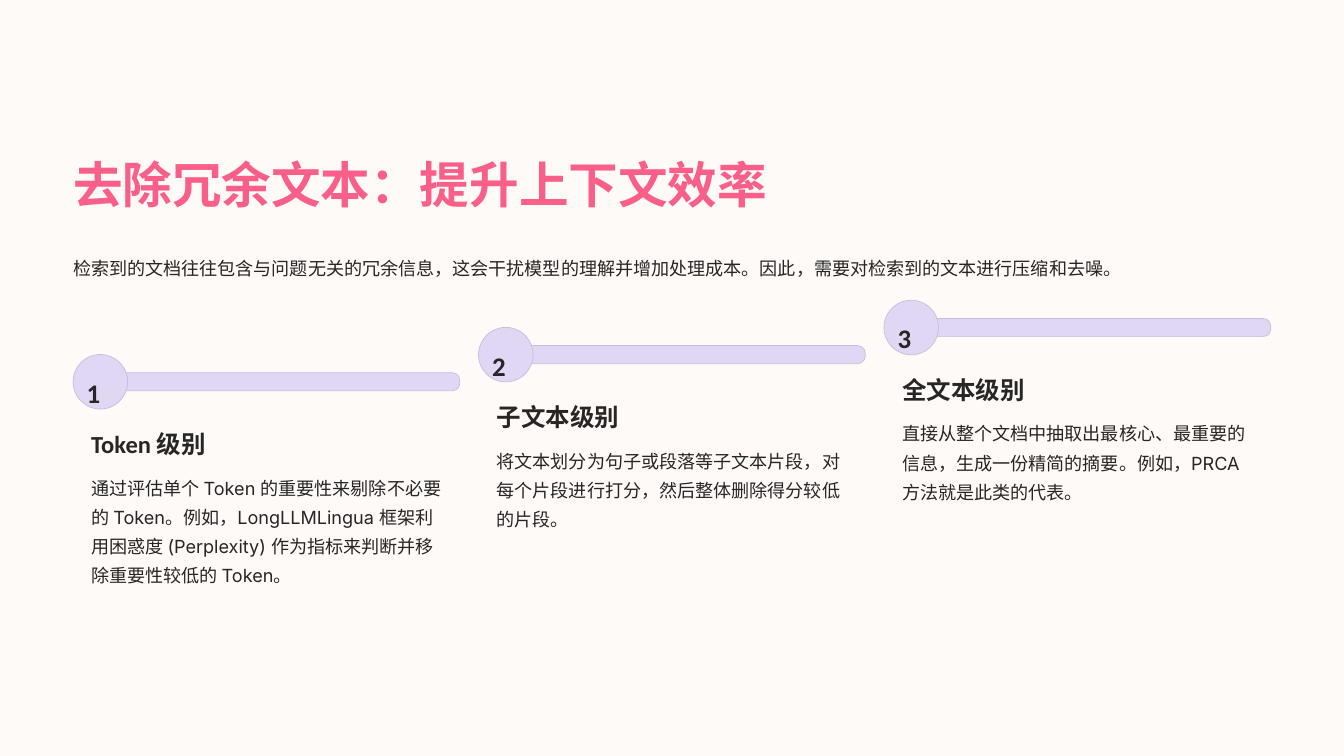
from dataclasses import dataclass

from pptx import Presentation
from pptx.dml.color import RGBColor
from pptx.enum.shapes import MSO_SHAPE
from pptx.enum.text import MSO_ANCHOR, MSO_AUTO_SIZE, PP_ALIGN
from pptx.slide import Slide
from pptx.text.text import TextFrame
from pptx.util import Cm, Pt

CREAM = RGBColor(0xFD, 0xFA, 0xF7)
PINK = RGBColor(0xF9, 0x5F, 0x88)
INK = RGBColor(0x27, 0x25, 0x25)
LILAC = RGBColor(0xE0, 0xD7, 0xF4)
LILAC_EDGE = RGBColor(0xC6, 0xBD, 0xDA)
HEADING_FONT = "Calibri"
BODY_FONT = "Inter"

# Staircase geometry, in centimetres
MARGIN = 2.21
FIRST_TOP = 10.72
STEP_PITCH = 12.26
STEP_RISE = 0.82
DISC = 1.65
BAR_WIDTH, BAR_HEIGHT = 10.87, 0.55


@dataclass(frozen=True)
class Level:
    heading: str
    detail: str
    lines: int


LEVELS = [
    Level("Token 级别",
          "通过评估单个 Token 的重要性来剔除不必要的 Token。例如，LongLLMLingua "
          "框架利用困惑度 (Perplexity) 作为指标来判断并移除重要性较低的 Token。", 4),
    Level("子文本级别",
          "将文本划分为句子或段落等子文本片段，对每个片段进行打分，然后整体删除得分较低的片段。", 3),
    Level("全文本级别",
          "直接从整个文档中抽取出最核心、最重要的信息，生成一份精简的摘要。例如，PRCA 方法就是此类的代表。", 3),
]


def write(frame: TextFrame, text: str, *, size: float, leading: float,
          font: str = BODY_FONT, color: RGBColor = INK, bold: bool = False,
          wrap: bool = False) -> None:
    frame.margin_left = frame.margin_right = 0
    frame.margin_top = frame.margin_bottom = 0
    frame.auto_size = MSO_AUTO_SIZE.NONE
    frame.word_wrap = wrap
    frame.vertical_anchor = MSO_ANCHOR.TOP
    paragraph = frame.paragraphs[0]
    paragraph.alignment = PP_ALIGN.LEFT
    paragraph.line_spacing = Pt(leading)
    run = paragraph.add_run()
    run.text = text
    run.font.name = font
    run.font.size = Pt(size)
    run.font.bold = bold
    run.font.color.rgb = color


def add_label(slide: Slide, left: float, top: float, width: float,
              height: float) -> TextFrame:
    return slide.shapes.add_textbox(
        Cm(left), Cm(top), Cm(width), Cm(height)).text_frame


def add_pill(slide: Slide, left: float, top: float, width: float,
             height: float, rounding: float) -> None:
    pill = slide.shapes.add_shape(
        MSO_SHAPE.ROUNDED_RECTANGLE, Cm(left), Cm(top), Cm(width), Cm(height))
    pill.adjustments[0] = rounding
    pill.shadow.inherit = False
    pill.fill.solid()
    pill.fill.fore_color.rgb = LILAC
    pill.line.color.rgb = LILAC_EDGE
    pill.line.width = Pt(0.6)


def add_level(slide: Slide, index: int, level: Level) -> None:
    left = MARGIN + index * STEP_PITCH
    top = FIRST_TOP - index * STEP_RISE
    text_left = left + 0.55

    # Bar and numbered disc
    add_pill(slide, left + DISC / 2, top + (DISC - BAR_HEIGHT) / 2,
             BAR_WIDTH, BAR_HEIGHT, 0.42)
    add_pill(slide, left, top, DISC, DISC, 0.5)
    write(add_label(slide, left + 0.41, top + 0.31, 0.84, 1.04),
          str(index + 1), size=23, leading=37.5, font=HEADING_FONT, bold=True)

    # Heading and explanation
    write(add_label(slide, text_left, top + 2.21, 7.57, 0.94),
          level.heading, size=21, leading=26.5, font=HEADING_FONT, bold=True)
    write(add_label(slide, text_left, top + 3.48, 10.62, level.lines * 0.88),
          level.detail, size=15.5, leading=25, wrap=True)


def main() -> None:
    presentation = Presentation()
    presentation.slide_width = Cm(40.64)
    presentation.slide_height = Cm(22.86)
    slide = presentation.slides.add_slide(presentation.slide_layouts[5])
    slide.background.fill.solid()
    slide.background.fill.fore_color.rgb = CREAM

    # Title and introduction
    title = slide.shapes.title
    title.left, title.top = Cm(MARGIN), Cm(4.57)
    title.width, title.height = Cm(21.21), Cm(1.91)
    write(title.text_frame, "去除冗余文本：提升上下文效率", size=42.5,
          leading=53.5, font=HEADING_FONT, color=PINK, bold=True)
    write(add_label(slide, MARGIN, 7.57, 36.22, 0.89),
          "检索到的文档往往包含与问题无关的冗余信息，这会干扰模型的理解并增加处理成本。"
          "因此，需要对检索到的文本进行压缩和去噪。", size=15.5, leading=25)

    # Rising levels
    for index, level in enumerate(LEVELS):
        add_level(slide, index, level)

    presentation.save("out.pptx")


if __name__ == "__main__":
    main()
